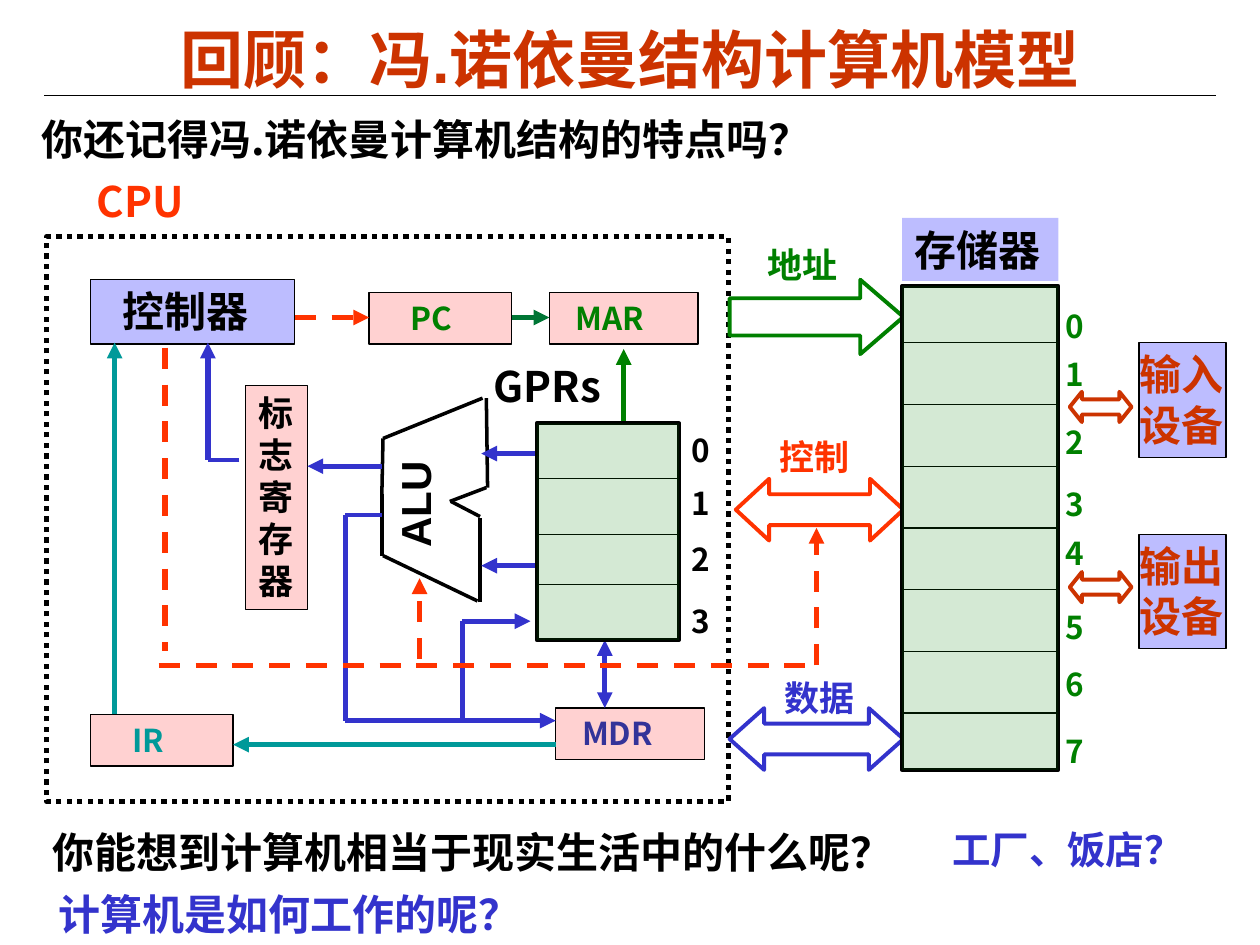
import lxml.etree
import pptx
import pptx.dml.color
import pptx.enum.dml
import pptx.enum.shapes
import pptx.enum.text
import pptx.oxml.ns
import pptx.util

Inches = pptx.util.Inches
Shapes = pptx.enum.shapes.MSO_SHAPE
Dashes = pptx.enum.dml.MSO_LINE
CJK = "Noto Sans CJK SC"
COLORS = {
    "black": "000000", "white": "FFFFFF", "rust": "CC3300", "orange": "FF3300",
    "red": "FF0000", "blue": "0000FF", "indigo": "3333CC", "navy": "333399",
    "green": "008000", "pine": "007635", "teal": "009999",
}
LILAC, PINK, MINT = ("blue", 26), ("red", 18), ("green", 17)

# place, lines, size, color, fill, left inset
UNITS = [
    ((0.72, 2.22, 1.62, 0.51), ["控制器"], 24, "black", LILAC, 0.25),
    ((2.93, 2.32, 1.13, 0.41), ["PC"], 18, "green", PINK, 0.33),
    ((4.36, 2.32, 1.18, 0.41), ["MAR"], 18, "green", PINK, 0.21),
    ((4.41, 5.62, 1.18, 0.41), ["MDR"], 18, "navy", PINK, 0.21),
    ((0.72, 5.67, 1.13, 0.41), ["IR"], 18, "teal", PINK, 0.33),
    ((1.95, 3.06, 0.49, 1.78), list("标志寄存器"), 20, "black", PINK, 0.1),
    ((9.04, 2.72, 0.69, 0.91), ["输入", "设备"], 24, "rust", LILAC, 0),
    ((9.04, 4.24, 0.69, 0.91), ["输出", "设备"], 24, "rust", LILAC, 0),
]
# place, text, size, color
LABELS = [
    ((0.67, 1.34, 0.93, 0.5), "CPU", 24, "orange"),
    ((3.82, 2.81, 1.28, 0.5), "GPRs", 24, "black"),
    ((5.99, 1.88, 0.94, 0.43), "地址", 20, "green"),
    ((6.09, 3.41, 0.94, 0.43), "控制", 20, "orange"),
    ((6.13, 5.32, 0.84, 0.43), "数据", 20, "indigo"),
    ((0.23, 0.85, 6.94, 0.5), "你还记得冯.诺依曼计算机结构的特点吗？", 24, "black"),
    ((0.32, 6.51, 6.94, 0.5), "你能想到计算机相当于现实生活中的什么呢？", 24, "black"),
    ((7.46, 6.51, 2.03, 0.47), "工厂、饭店？", 22, "indigo"),
    ((0.37, 7, 7.53, 0.5), "计算机是如何工作的呢？", 24, "indigo"),
]
# place, preset, adjustments, color
BUSES = [
    ((5.79, 2.22, 1.38, 0.59), Shapes.RIGHT_ARROW, (0.5, 0.58), "green"),
    ((5.84, 3.8, 1.33, 0.49), Shapes.LEFT_RIGHT_ARROW, (0.5, 0.54), "orange"),
    ((5.79, 5.62, 1.38, 0.49), Shapes.LEFT_RIGHT_ARROW, (0.5, 0.56), "indigo"),
    ((8.49, 3.11, 0.49, 0.24), Shapes.LEFT_RIGHT_ARROW, (0.5, 0.4), "rust"),
    ((8.49, 4.54, 0.49, 0.24), Shapes.LEFT_RIGHT_ARROW, (0.5, 0.4), "rust"),
]
# place, divider heights, number left and width, number tops, number color
STACKS = [
    ((4.26, 3.36, 1.13, 1.72), [3.8, 4.24, 4.64], (5.39, 0.35),
     [3.37, 3.79, 4.24, 4.73], "black"),
    ((7.16, 2.27, 1.24, 3.84), [2.72 + 0.49 * step for step in range(7)], (8.36, 0.33),
     [2.39, 2.77, 3.31, 3.8, 4.19, 4.78, 5.23, 5.76], "green"),
]
ALU_EDGES = [
    (3.86, 3.16, 3.87, 3.87), (3.83, 3.16, 3.04, 3.48), (3.86, 3.87, 3.57, 3.98),
    (3.04, 3.48, 3.03, 3.95), (3.81, 4.78, 3.81, 4.11), (3.79, 4.77, 3.04, 4.41),
    (3.81, 4.1, 3.58, 3.98), (3.03, 4.41, 3.03, 3.92),
]
# ends, color, width, dashed, arrowheads
WIRES = [
    ((2.34, 2.52, 2.93, 2.52), "orange", 3, True, ["tailEnd"]),
    ((4.06, 2.52, 4.36, 2.52), "pine", 3, False, ["tailEnd"]),
    ((4.8, 5.08, 4.8, 5.62), "indigo", 3, False, ["headEnd", "tailEnd"]),
    ((4.26, 3.6, 3.82, 3.6), "indigo", 3, False, ["tailEnd"]),
    ((4.26, 4.49, 3.82, 4.49), "indigo", 3, False, ["tailEnd"]),
    ((3.03, 3.7, 2.44, 3.7), "indigo", 3, False, ["tailEnd"]),
    ((1.9, 3.65, 1.65, 3.65), "indigo", 2.25, False, []),
    ((1.65, 3.65, 1.65, 2.72), "indigo", 3, False, ["tailEnd"]),
    ((4.95, 3.36, 4.95, 2.77), "green", 3, False, ["tailEnd"]),
    ((3.03, 4.09, 2.74, 4.09), "indigo", 2.25, False, []),
    ((2.74, 4.09, 2.74, 5.72), "indigo", 3, False, []),
    ((2.74, 5.72, 4.41, 5.72), "indigo", 3, False, ["tailEnd"]),
    ((3.67, 5.72, 3.67, 4.93), "indigo", 3, False, []),
    ((3.67, 4.93, 4.21, 4.93), "indigo", 3, False, ["tailEnd"]),
    ((1.26, 5.28, 6.43, 5.28), "orange", 3, True, []),
    ((1.31, 2.76, 1.31, 5.17), "orange", 3, True, []),
    ((3.33, 5.23, 3.33, 4.59), "orange", 3, True, ["tailEnd"]),
    ((6.48, 5.28, 6.48, 4.19), "orange", 3, True, ["tailEnd"]),
    ((4.41, 5.91, 1.85, 5.91), "teal", 3, False, ["tailEnd"]),
    ((0.91, 5.67, 0.91, 2.72), "teal", 3, False, ["tailEnd"]),
]

deck = pptx.Presentation()
deck.slide_width, deck.slide_height = Inches(10), Inches(7.5)
page = deck.slides.add_slide(deck.slide_layouts[6])


def color_of(name):
    """Return the named color."""
    return pptx.dml.color.RGBColor.from_string(COLORS[name])


def add_tag(parent, tag, **attributes):
    """Append a DrawingML element to parent."""
    return lxml.etree.SubElement(parent, pptx.oxml.ns.qn(tag), **attributes)


def write(box, lines, size, color, left=0.1, right=0.1, face=CJK):
    """Write bold lines into a box, one paragraph each."""
    frame = box.text_frame
    frame.word_wrap = True
    frame.vertical_anchor = pptx.enum.text.MSO_ANCHOR.TOP
    frame.margin_left, frame.margin_right = Inches(left), Inches(right)
    frame.text = "\n".join(lines)
    for para in frame.paragraphs:
        para.alignment = pptx.enum.text.PP_ALIGN.LEFT
        para.font.size, para.font.bold = pptx.util.Pt(size), True
        para.font.color.rgb = color_of(color)
        para.font.name = face
        add_tag(para._p.pPr.find(pptx.oxml.ns.qn("a:defRPr")), "a:ea", typeface=face)


def label(place, text, size, color, face=CJK):
    """Add a text box with one line and return it."""
    box = page.shapes.add_textbox(*map(Inches, place))
    write(box, [text], size, color, face=face)
    return box


def shape(place, preset=Shapes.RECTANGLE, fill=None, line=None, width=0.75):
    """Add a preset shape; fill is a color name and an opacity in percent."""
    box = page.shapes.add_shape(preset, *map(Inches, place))
    box.shadow.inherit = False
    if fill:
        box.fill.solid()
        box.fill.fore_color.rgb = color_of(fill[0])
        if fill[1] < 100:
            tint = box._element.spPr.find(".//" + pptx.oxml.ns.qn("a:srgbClr"))
            add_tag(tint, "a:alpha", val=str(fill[1] * 1000))
    else:
        box.fill.background()
    if line:
        box.line.color.rgb, box.line.width = color_of(line), pptx.util.Pt(width)
    else:
        box.line.fill.background()
    return box


def wire(ends, color="black", width=0.75, dashed=False, heads=()):
    """Add a straight connector with optional arrowheads."""
    link = page.shapes.add_connector(
        pptx.enum.shapes.MSO_CONNECTOR.STRAIGHT, *map(Inches, ends))
    link.line.color.rgb, link.line.width = color_of(color), pptx.util.Pt(width)
    if dashed:
        link.line.dash_style = Dashes.DASH
    for head in heads:
        add_tag(link.line._get_or_add_ln(), "a:" + head, type="triangle")
    add_tag(link._element.spPr, "a:effectLst")


def stack(place, dividers, column, tops, color):
    """Add a tinted stack of cells with its cell numbers."""
    left, top, width, height = place
    shape(place, fill=("white", 100), line="black", width=2.25)
    for level in dividers:
        wire((left, level, left + width, level))
    for number, number_top in enumerate(tops):
        label((column[0], number_top, column[1], 0.4), str(number), 18, color)
    shape(place, fill=MINT)


wire((0.35, 0.76, 9.65, 0.76))
title = label((0.5, 0.16, 9, 0.61), "回顾：冯.诺依曼结构计算机模型", 36, "rust", "Arial")
title.text_frame.vertical_anchor = pptx.enum.text.MSO_ANCHOR.MIDDLE
title.text_frame.paragraphs[0].alignment = pptx.enum.text.PP_ALIGN.CENTER

cpu_frame = shape((0.37, 1.88, 5.41, 4.48), line="black", width=3)
cpu_frame.line.dash_style = Dashes.ROUND_DOT
for place, lines, size, color, fill, inset in UNITS:
    write(shape(place, fill=fill, line="black"), lines, size, color, inset, min(inset, 0.1))
for edge in ALU_EDGES:
    wire(edge, width=2)
alu = label((2.87, 3.77, 0.89, 0.46), "ALU", 24, "black", "Arial")
alu.rotation = 270
alu.text_frame.paragraphs[0].line_spacing = 0.9
for place, preset, adjustments, color in BUSES:
    arrow = shape(place, preset, ("white", 100), color, 2.25)
    for index, value in enumerate(adjustments):
        arrow.adjustments[index] = value
for item in WIRES:
    wire(*item)
for item in STACKS:
    stack(*item)
write(shape((7.16, 1.73, 1.24, 0.5), fill=LILAC), ["存储器"], 24, "black")
for item in LABELS:
    label(*item)

deck.save("out.pptx")
